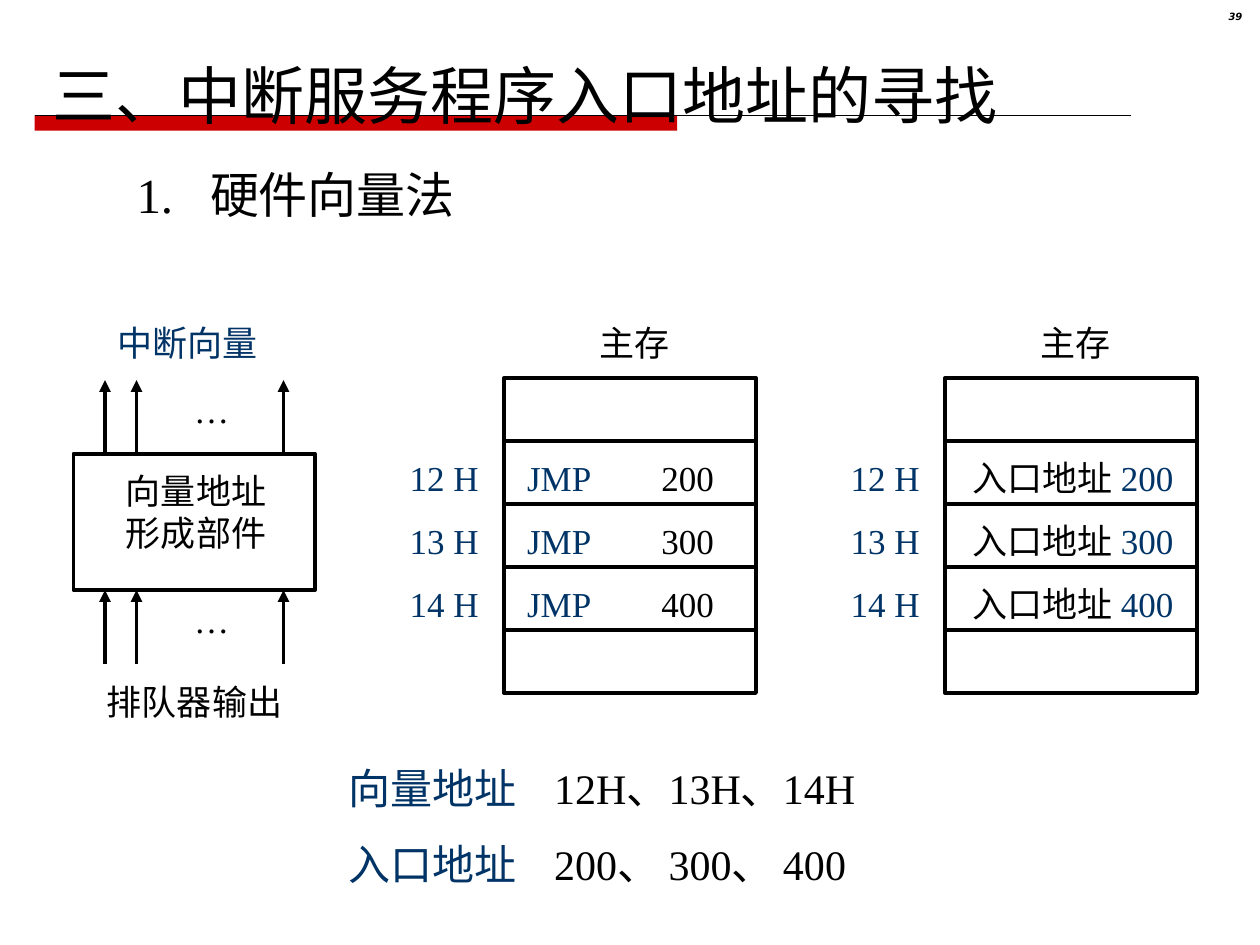
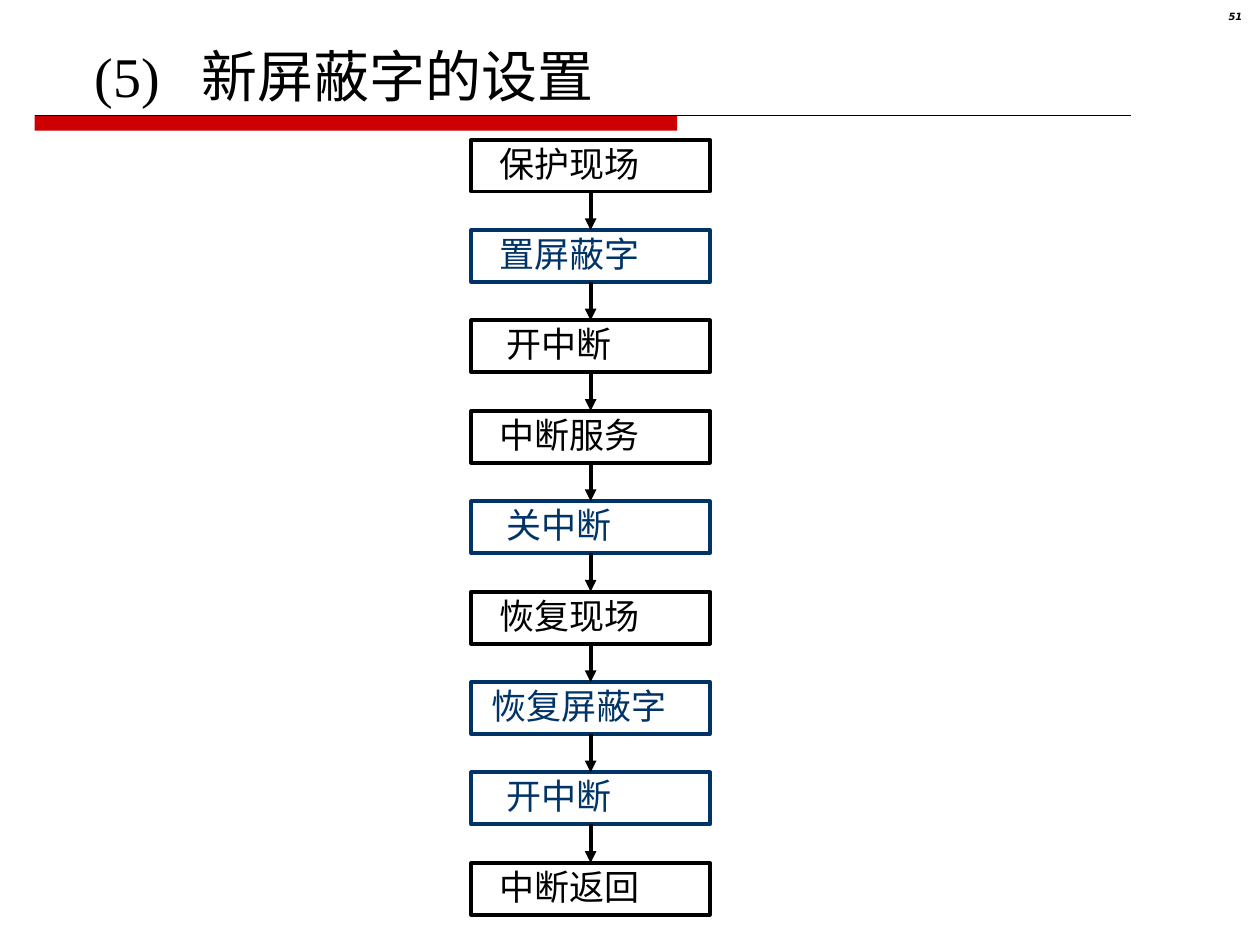
"""Two slides on interrupt vectors and interrupt masks, laid out on a 120 by 90 grid."""
from dataclasses import dataclass
from itertools import pairwise
from typing import NamedTuple, Optional

from lxml import etree
from pptx import Presentation, util as u
from pptx.dml.color import RGBColor
from pptx.enum import shapes, text
from pptx.oxml import ns
from pptx.slide import Slide

WIDTH, HEIGHT = u.Inches(10), u.Inches(7.5)
COLUMN, ROW = WIDTH / 120, HEIGHT / 90


@dataclass(frozen=True)
class Theme:
    """Colours, fonts, type sizes and line widths."""
    ink: RGBColor = RGBColor(0, 0, 0)
    accent: RGBColor = RGBColor(0x00, 0x33, 0x66)
    band: RGBColor = RGBColor(0xCC, 0x00, 0x00)
    serif: str = "Times New Roman"
    sans: str = "Roboto"
    number_font: str = "DejaVu Sans"
    number: float = 5.7
    body: float = 20
    summary: float = 24
    heading: float = 28
    subtitle: float = 32
    title: float = 36
    stroke: float = 2.25
    hairline: float = 0.75


THEME = Theme()


class Place(NamedTuple):
    """A rectangle in grid columns and rows."""
    col: float
    row: float
    cols: float
    rows: float

    def lengths(self) -> tuple[int, int, int, int]:
        """Return left, top, width and height as lengths."""
        return (int(self.col * COLUMN), int(self.row * ROW),
                int(self.cols * COLUMN), int(self.rows * ROW))


class Span(NamedTuple):
    """A run of words in one colour."""
    words: str
    color: RGBColor = THEME.ink


@dataclass(frozen=True)
class Style:
    """How the text of a box is set; insets and tab are in columns."""
    size: float = THEME.body
    font: str = THEME.serif
    insets: tuple[float, float, float, float] = (1.2, 0.6, 1.2, 0.6)
    middle: bool = False
    wrap: bool = False
    tab: Optional[float] = None
    gap: float = 0
    spacing: Optional[float] = None
    right: bool = False
    strong: bool = False


class Memory(NamedTuple):
    """A block of main memory with its left column, cells and cell style."""
    col: float
    cells: list[list[Span]]
    style: Style


class Step(NamedTuple):
    """A step of the interrupt service flow."""
    words: str
    color: RGBColor = THEME.ink


FLUSH = Style(insets=(0, 0.6, 0, 0.6), middle=True)
LABEL = Style()
ENTRIES = ("200", "300", "400")
VECTORS = ("12 H", "13 H", "14 H")
MEMORIES = [
    Memory(48, [[Span("JMP", THEME.accent), Span("\t" + entry)] for entry in ENTRIES],
           Style(insets=(2.2, 1.45, 0, 0), tab=12.8, wrap=True)),
    Memory(90, [[Span("入口地址 "), Span(entry, THEME.accent)] for entry in ENTRIES],
           Style(insets=(2.65, 1.45, 0, 0), wrap=True)),
]
STEPS = [
    Step("保护现场"), Step("置屏蔽字", THEME.accent), Step("开中断"),
    Step("中断服务"), Step("关中断", THEME.accent), Step("恢复现场"),
    Step("恢复屏蔽字", THEME.accent), Step("开中断", THEME.accent), Step("中断返回"),
]


def write(box, lines: list[list[Span]], style: Style) -> None:
    """Fill a shape with lines of spans in the given style."""
    frame = box.text_frame
    frame.auto_size = text.MSO_AUTO_SIZE.NONE
    frame.word_wrap = style.wrap
    frame.vertical_anchor = text.MSO_ANCHOR.MIDDLE if style.middle else text.MSO_ANCHOR.TOP
    (frame.margin_left, frame.margin_top,
     frame.margin_right, frame.margin_bottom) = (int(inset * COLUMN) for inset in style.insets)
    for index, spans in enumerate(lines):
        para = frame.add_paragraph() if index else frame.paragraphs[0]
        para.alignment = text.PP_ALIGN.RIGHT if style.right else text.PP_ALIGN.LEFT
        para.space_before = u.Pt(style.gap if index else 0)
        if style.spacing:
            para.line_spacing = style.spacing
        if style.tab:
            stops = etree.SubElement(para._p.get_or_add_pPr(), ns.qn("a:tabLst"))
            etree.SubElement(stops, ns.qn("a:tab"), pos=str(int(style.tab * COLUMN)), algn="l")
        for span in spans:
            run = para.add_run()
            run.text = span.words
            run.font.name = style.font
            run.font.size = u.Pt(style.size)
            run.font.color.rgb = span.color
            run.font.bold = run.font.italic = style.strong


def add_label(page: Slide, place: Place, lines: list[list[Span]], style: Style = LABEL) -> None:
    """Add a text box."""
    write(page.shapes.add_textbox(*place.lengths()), lines, style)


def add_box(page: Slide, place: Place, color: RGBColor = THEME.ink):
    """Add an outlined rectangle without fill."""
    box = page.shapes.add_shape(shapes.MSO_SHAPE.RECTANGLE, *place.lengths())
    box.shadow.inherit = False
    box.fill.background()
    box.line.color.rgb = color
    box.line.width = u.Pt(THEME.stroke)
    return box


def add_line(page: Slide, start: tuple[float, float], end: tuple[float, float],
             width: float = THEME.stroke, arrow: bool = True):
    """Add a straight line between two grid points, with an arrowhead at its end if wanted."""
    line = page.shapes.add_connector(
        shapes.MSO_CONNECTOR.STRAIGHT, int(start[0] * COLUMN), int(start[1] * ROW),
        int(end[0] * COLUMN), int(end[1] * ROW))
    line.line.color.rgb = THEME.ink
    line.line.width = u.Pt(width)
    properties = line.element.spPr
    if arrow:
        etree.SubElement(properties.find(ns.qn("a:ln")), ns.qn("a:tailEnd"), type="triangle")
    etree.SubElement(properties, ns.qn("a:effectLst"))
    return line


def add_title_band(page: Slide) -> None:
    """Draw the title band and its rule, and hand them to the layout of the page."""
    band = add_box(page, Place(3.3, 11, 61.2, 1.45))
    band.fill.solid()
    band.fill.fore_color.rgb = THEME.band
    band.line.fill.background()
    rule = add_line(page, (3.3, 11), (107.7, 11), THEME.hairline, arrow=False)
    for part in (band, rule):
        page.slide_layout.shapes.element.append(part.element)


def add_page(deck, number: str, title: str, place: Place, style: Style) -> Slide:
    """Add a title-only slide with its title and page number."""
    page = deck.slides.add_slide(deck.slide_layouts[5])
    heading = page.shapes.title
    heading.left, heading.top, heading.width, heading.height = place.lengths()
    write(heading, [[Span(title)]], style)
    add_label(page, Place(112.4, 0.6, 7.1, 2.8), [[Span(number)]],
              Style(THEME.number, THEME.number_font, wrap=True, spacing=0.8,
                    right=True, strong=True))
    return page


def draw_memory(page: Slide, memory: Memory) -> None:
    """Draw a five-cell memory block with its heading and vector addresses."""
    cells = [add_box(page, Place(memory.col, 36 + 6 * index, 24, 6)) for index in range(5)]
    for cell, spans in zip(cells[1:4], memory.cells):
        write(cell, [spans], memory.style)
    for index, vector in enumerate(VECTORS):
        add_label(page, Place(memory.col - 9, 42 + 6 * index, 8, 7),
                  [[Span(vector, THEME.accent)]], FLUSH)
    add_label(page, Place(memory.col + 7.9, 30, 9, 5.3), [[Span("主存")]])


def draw_vector_former(page: Slide) -> None:
    """Draw the vector address unit with its arrows in and out."""
    unit = add_box(page, Place(7, 43.2, 23, 13))
    write(unit, [[Span("向量地址")], [Span("形成部件")]], Style(insets=(5, 1.55, 0, 0), wrap=True))
    for bottom in (43.2, 63.2):
        for col in (10, 13, 27):
            add_line(page, (col, bottom), (col, bottom - 7))
        add_label(page, Place(17.3, bottom - 6.75, 5.8, 5.3), [[Span("…")]])
    add_label(page, Place(10, 30, 22, 5.3), [[Span("中断向量", THEME.accent)]])
    add_label(page, Place(9, 64.2, 28, 5.3), [[Span("排队器输出")]])


def build_vector_page(deck) -> None:
    """Build the slide on the hardware vector method."""
    page = add_page(deck, "39", "三、中断服务程序入口地址的寻找", Place(5, 5, 114, 8),
                    Style(THEME.title, insets=FLUSH.insets, middle=True))
    add_title_band(page)
    add_label(page, Place(13, 15, 51, 7), [[Span("1.\t硬件向量法")]],
              Style(THEME.heading, insets=FLUSH.insets, middle=True, wrap=True, tab=7))
    draw_vector_former(page)
    for memory in MEMORIES:
        draw_memory(page, memory)
    add_label(page, Place(32, 72, 87, 13.3),
              [[Span("向量地址\t", THEME.accent), Span("12H、13H、14H")],
               [Span("入口地址\t", THEME.accent), Span("200、 300、 400")]],
              Style(THEME.summary, wrap=True, tab=19.6, gap=15))


def build_mask_page(deck) -> None:
    """Build the slide on setting a new mask word."""
    page = add_page(deck, "51", "(5)\t新屏蔽字的设置", Place(9, 4.3, 93.6, 5.7),
                    Style(THEME.subtitle, insets=(0, 0, 0, 0), middle=True, wrap=True, tab=10.2))
    boxes = []
    for index, step in enumerate(STEPS):
        box = add_box(page, Place(44.9, 13.3 + 8.61 * index, 22.7, 4.95), step.color)
        indent = 1.2 + 0.72 * (6 - len(step.words))
        write(box, [[Span(step.words, step.color)]],
              Style(font=THEME.sans, insets=(indent, 0.24, 0, 0.6), wrap=True))
        boxes.append(box)
    for upper, lower in pairwise(boxes):
        arrow = add_line(page, (0, 0), (1, 1))
        arrow.begin_connect(upper, 2)
        arrow.end_connect(lower, 0)


def main() -> None:
    """Build and save the deck."""
    deck = Presentation()
    deck.slide_width, deck.slide_height = WIDTH, HEIGHT
    build_vector_page(deck)
    build_mask_page(deck)
    deck.save("out.pptx")


if __name__ == "__main__":
    main()
